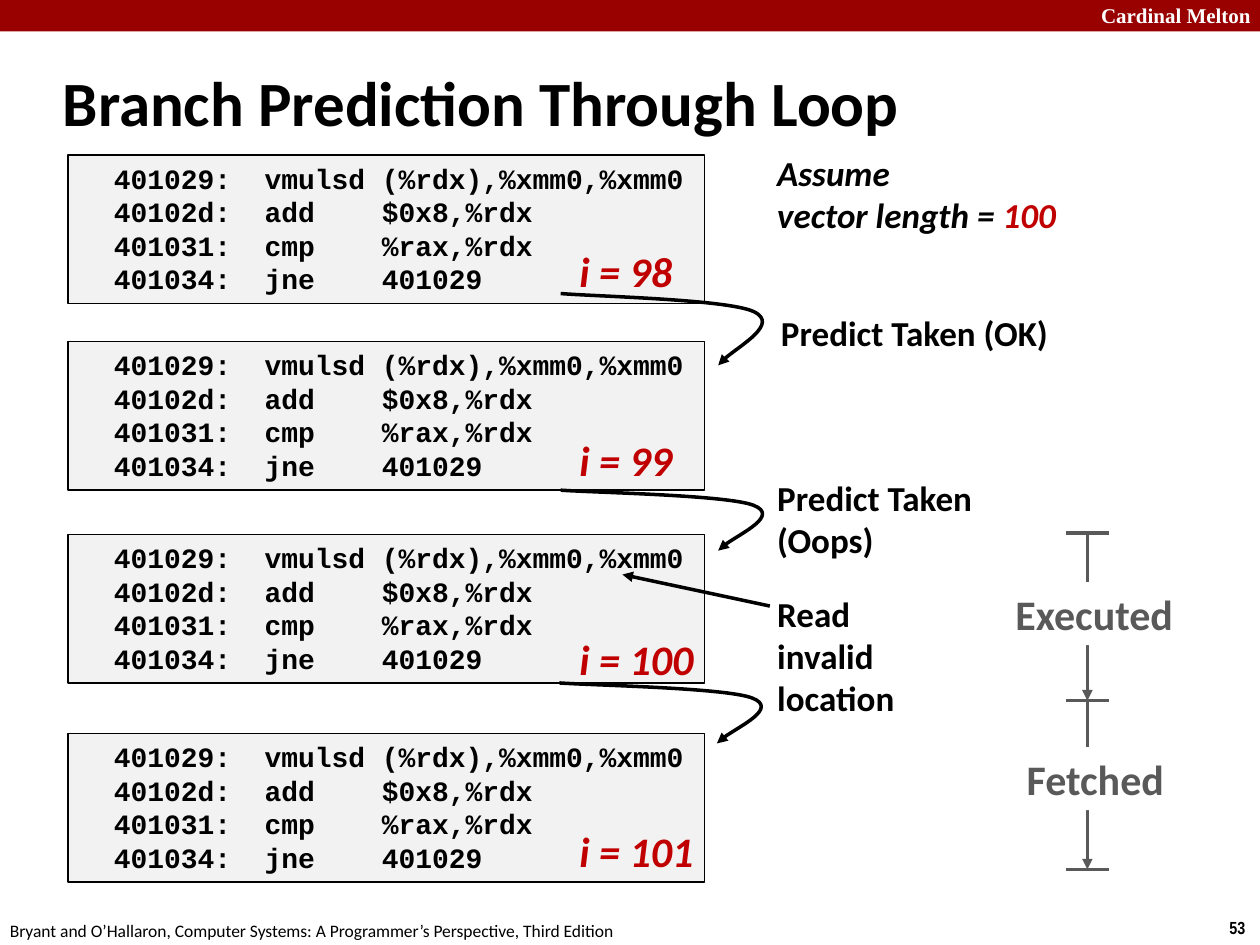
from pptx import Presentation, util as u
from pptx.dml.color import RGBColor
from pptx.enum import shapes, text
from pptx.oxml import ns
from lxml import etree

BLACK, WHITE, RED, GRAY = "000000", "FFFFFF", "C00000", "595959"
CODE = [
    "  401029:  vmulsd (%rdx),%xmm0,%xmm0",
    "  40102d:  add    $0x8,%rdx",
    "  401031:  cmp    %rax,%rdx",
    "  401034:  jne    401029",
]


def color(value):
    return RGBColor.from_string(value)


class SlideBuilder:
    """Holds the style and the current slide."""

    style = {"name": "Calibri", "size": 20, "bold": True, "italic": False}

    def __init__(self, slide):
        self.slide = slide

    def fill_text(self, shape, lines, wrap=False, anchor=text.MSO_ANCHOR.TOP,
                  fill=BLACK, **changes):
        """Each line is a string or a list of (string, colour) runs."""
        frame = shape.text_frame
        frame.word_wrap = wrap
        frame.vertical_anchor = anchor
        values = {**self.style, **changes}
        values["size"] = u.Pt(values["size"])
        for index, line in enumerate(lines):
            paragraph = frame.add_paragraph() if index else frame.paragraphs[0]
            paragraph.alignment = text.PP_ALIGN.LEFT
            runs = [(line, fill)] if isinstance(line, str) else line
            for content, run_color in runs:
                run = paragraph.add_run()
                run.text = content
                run.font.color.rgb = color(run_color)
                for name, value in values.items():
                    setattr(run.font, name, value)

    def label(self, box, lines, **changes):
        shape = self.slide.shapes.add_textbox(*map(u.Inches, box))
        self.fill_text(shape, lines, **changes)

    def rectangle(self, box, fill, line=None):
        shape = self.slide.shapes.add_shape(
            shapes.MSO_SHAPE.RECTANGLE, *map(u.Inches, box))
        shape.shadow.inherit = False
        shape.fill.solid()
        shape.fill.fore_color.rgb = color(fill)
        if line:
            shape.line.color.rgb = color(line)
            shape.line.width = u.Pt(0.75)
        else:
            shape.line.fill.background()
        return shape

    def stroke(self, shape, line, arrow):
        shape.line.color.rgb = color(line)
        shape.line.width = u.Pt(2)
        if arrow:
            outline = shape._element.spPr.find(ns.qn("a:ln"))
            etree.SubElement(outline, ns.qn("a:tailEnd"), type="triangle")

    def line(self, start, end, line=BLACK, arrow=False):
        connector = self.slide.shapes.add_connector(
            shapes.MSO_CONNECTOR.STRAIGHT, *map(u.Inches, (*start, *end)))
        self.stroke(connector, line, arrow)
        etree.SubElement(connector._element.spPr, ns.qn("a:effectLst"))

    def curve(self, points):
        """Draws a start point and then cubic curves of three points each."""
        points = [(u.Inches(x), u.Inches(y)) for x, y in points]
        builder = self.slide.shapes.build_freeform(*points[0])
        builder.add_line_segments(points[1:], close=False)
        shape = builder.convert_to_shape()
        shape.shadow.inherit = False
        shape.fill.background()
        self.stroke(shape, BLACK, True)
        # Join every three straight segments into one cubic curve
        segments = list(shape._element.iter(ns.qn("a:lnTo")))
        for first in range(0, len(segments), 3):
            cubic = etree.Element(ns.qn("a:cubicBezTo"))
            segments[first].addprevious(cubic)
            for segment in segments[first:first + 3]:
                cubic.append(segment[0])
                segment.getparent().remove(segment)


def main():
    presentation = Presentation()
    presentation.slide_width = u.Inches(10)
    presentation.slide_height = u.Inches(7.5)
    slide = presentation.slides.add_slide(presentation.slide_layouts[6])
    builder = SlideBuilder(slide)

    # Header band, footer and title
    builder.rectangle((0, 0, 10, 0.25), "990000")
    builder.label((8.64, -0.03, 1.43, 0.3), ["Cardinal Melton"], wrap=True,
                  fill=WHITE, name="Times New Roman", size=12)
    builder.label((9.66, 7.23, 0.34, 0.27), ["53"],
                  name="Arial Narrow", size=10)
    builder.label((-0.02, 7.25, 5.08, 0.27),
                  ["Bryant and O’Hallaron, Computer Systems: "
                   "A Programmer’s Perspective, Third Edition"],
                  size=10, bold=False)
    builder.label((0.4, 0.49, 8.59, 0.63), ["Branch Prediction Through Loop"],
                  wrap=True, anchor=text.MSO_ANCHOR.MIDDLE, size=36)

    # Code of each loop iteration
    for top in (1.23, 2.71, 4.24, 5.82):
        block = builder.rectangle((0.54, top, 5.05, 1.18), "F2F2F2", BLACK)
        builder.fill_text(block, CODE, name="Courier New", size=16)

    # Curved arrows to the next iteration
    for left, top, height in ((4.45, 2.33, 0.57), (4.45, 3.89, 0.48),
                              (4.44, 5.42, 0.48)):
        builder.curve([(left + x, top + y * height) for x, y in (
            (0, 0), (0.26, 0.04), (1.32, 0.08), (1.53, 0.25),
            (1.74, 0.42), (1.31, 0.84), (1.25, 1))])

    # Loop counters
    for count, top, width in ((98, 1.9, 0.94), (99, 3.4, 0.94),
                              (100, 4.98, 1.11), (101, 6.5, 1.11)):
        builder.label((4.5, top, width, 0.5), [f"i = {count}"],
                      fill=RED, size=24, italic=True)

    # Remarks
    builder.label((6.07, 1.15, 2.43, 0.77),
                  ["Assume", [("vector length = ", BLACK), ("100", RED)]],
                  italic=True)
    builder.label((6.1, 2.42, 2.34, 0.44), ["Predict Taken (OK)"])
    builder.label((6.07, 3.73, 1.76, 0.77), ["Predict Taken", "(Oops)"])
    builder.label((6.07, 4.65, 1.42, 1.11), ["Read invalid location"],
                  wrap=True)
    builder.line((6.11, 4.81), (4.94, 4.56), arrow=True)

    # Executed and fetched spans
    center = 8.63
    levels = (4.23, 5.56, 6.9)
    for start, end in zip(levels, levels[1:]):
        builder.line((center, start), (center, end), GRAY, arrow=True)
    for box, name in (((7.96, 4.62, 1.47, 0.5), "Executed"),
                      ((8.05, 5.93, 1.3, 0.5), "Fetched")):
        span = builder.rectangle(box, WHITE)
        builder.fill_text(span, [name], fill=GRAY, size=24)
    for level in levels:
        builder.line((center - 0.17, level), (center + 0.17, level), GRAY)

    presentation.save("out.pptx")


if __name__ == "__main__":
    main()
